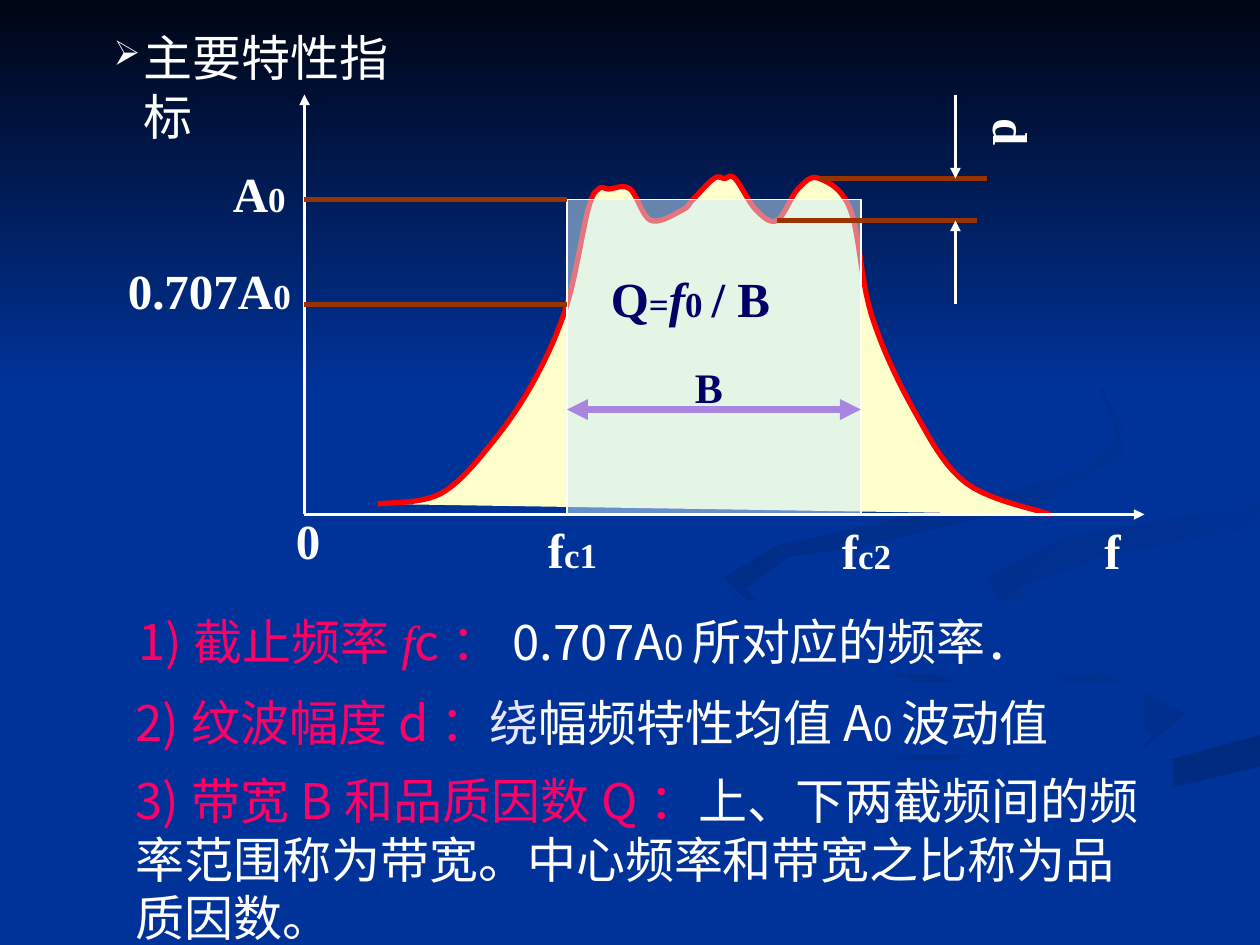
from lxml.etree import SubElement
from pptx import Presentation
from pptx.dml.color import RGBColor
from pptx.enum.shapes import MSO_CONNECTOR, MSO_SHAPE
from pptx.enum.text import MSO_ANCHOR, MSO_AUTO_SIZE, PP_ALIGN
from pptx.oxml.ns import qn
from pptx.util import Pt

PX = 9525      # EMU in one px, 96 px to the inch
GRID = 8 * PX  # one step of the drawing grid
WHITE = RGBColor(0xFF, 0xFF, 0xFF)
BLUE = RGBColor(0x00, 0x33, 0x99)
NIGHT = RGBColor(0x00, 0x05, 0x14)
NAVY = RGBColor(0x00, 0x00, 0x66)
PINK = RGBColor(0xFF, 0x00, 0x66)
LAVENDER = RGBColor(0xE5, 0xE5, 0xFF)
RED = RGBColor(0xFF, 0x00, 0x00)
CREAM = RGBColor(0xFF, 0xFF, 0xCC)
ICE = RGBColor(0xCC, 0xEC, 0xFF)
BROWN = RGBColor(0x99, 0x33, 0x00)
PURPLE = RGBColor(0xA8, 0x86, 0xE0)
SHADE = RGBColor(0x00, 0x2E, 0x8B)
DEEP_SHADE = RGBColor(0x00, 0x2A, 0x7D)
SERIF = "Times New Roman"
SANS = "Noto Sans CJK SC"


def add_runs(paragraph, runs, font_name, bold=False):
    """Each run is text, size, colour; a fourth item marks italic Times."""
    for text, size, color, *italic in runs:
        run = paragraph.add_run()
        run.text = text
        run.font.size = Pt(size)
        run.font.bold = bold
        run.font.italic = bool(italic)
        run.font.color.rgb = color
        run.font.name = SERIF if italic else font_name
        SubElement(run.font._element, qn("a:ea")).set("typeface", SANS)


def add_line(x1, y1, x2, y2, color, width, *arrow_ends):
    line = slide.shapes.add_connector(
        MSO_CONNECTOR.STRAIGHT, x1 * GRID, y1 * GRID, x2 * GRID, y2 * GRID)
    line.line.color.rgb = color
    line.line.width = Pt(width)
    properties = line._element.spPr
    for end in arrow_ends:
        SubElement(properties.find(qn("a:ln")), qn(end)).set("type", "triangle")
    SubElement(properties, qn("a:effectLst"))


prs = Presentation()
prs.slide_width, prs.slide_height = 960 * PX, 720 * PX
slide = prs.slides.add_slide(prs.slide_layouts[5])
slide.background.fill.solid()
slide.background.fill.fore_color.rgb = BLUE

# Background swirls: first colour, last colour, clockwise angle, grid outline
swirls = [
    (BLUE, SHADE, 0, [(94, 66), (71, 58), (69, 55), (71, 59), (93, 67), (93, 70),
                      (55, 81), (36, 90), (43, 90), (60, 82), (95, 71)]),
    (BLUE, SHADE, 45, [(113, 68), (107, 64), (93, 60), (87, 56), (92, 61), (104, 66),
                       (110, 70), (107, 73), (112, 71)]),
    (DEEP_SHADE, BLUE, 90, [(60, 90), (68, 90), (80, 84), (103, 77), (120, 73),
                            (120, 70), (108, 73), (83, 80)]),
    (BLUE, BLUE, 0, [(87, 56), (91, 60), (105, 64), (113, 68), (108, 72), (69, 84),
                     (57, 90), (62, 90), (83, 80), (120, 70), (120, 64), (104, 61),
                     (94, 56), (99, 52), (120, 48), (120, 46), (102, 49), (89, 53)]),
    (SHADE, BLUE, 45, [(94, 55), (95, 57), (99, 60), (97, 56), (105, 53), (120, 50),
                       (120, 48), (102, 51)]),
    (DEEP_SHADE, BLUE, 45, [(82, 52), (99, 48), (107, 43), (105, 37), (95, 28), (103, 34),
                            (107, 41), (103, 45), (92, 48), (74, 52), (69, 55), (74, 60),
                            (71, 56), (75, 53)]),
    (NIGHT, BLUE, 90, [(0, 0), (120, 0), (120, 37), (0, 37)]),
]
for first, last, angle, outline in swirls:
    builder = slide.shapes.build_freeform(*outline[0], scale=GRID)
    builder.add_line_segments(outline[1:], close=True)
    swirl = builder.convert_to_shape()
    swirl.shadow.inherit = False
    swirl.line.fill.background()
    swirl.fill.gradient()
    swirl.fill.gradient_angle = -angle % 360
    for stop, color, position in zip(swirl.fill.gradient_stops, (first, last), (0, 1)):
        stop.color.rgb = color
        stop.position = position

# Response curve: a Catmull-Rom spline through grid knots
knots = [(36, 48), (42, 47), (47, 42), (51, 36), (54, 29), (56, 20), (57, 18), (58, 18),
         (60, 18), (62, 21), (65, 20), (66, 19), (68, 17), (69, 17), (70, 17), (72, 20),
         (74, 21), (76, 18), (78, 17), (81, 20), (83, 30), (87, 39), (92, 46), (100, 49)]
STEPS = 10
guides = [knots[0], *knots, knots[-1]]
curve = [[GRID * value for value in knots[0]]]
for before, start, end, after in zip(guides, guides[1:], guides[2:], guides[3:]):
    for step in range(1, STEPS + 1):
        t = step / STEPS
        curve.append([
            GRID * (b + (c - a) * t / 2 + (2 * a - 5 * b + 4 * c - d) * t**2 / 2
                    + (3 * b - a - 3 * c + d) * t**3 / 2)
            for a, b, c, d in zip(before, start, end, after)])
builder = slide.shapes.build_freeform(*curve[0], scale=1.0)
builder.add_line_segments(curve[1:], close=False)
response = builder.convert_to_shape()
response.shadow.inherit = False
response.fill.solid()
response.fill.fore_color.rgb = CREAM
response.line.color.rgb = RED
response.line.width = Pt(3)

passband = slide.shapes.add_shape(
    MSO_SHAPE.RECTANGLE, 54 * GRID, 19 * GRID, 28 * GRID, 30 * GRID)
passband.shadow.inherit = False
passband.fill.solid()
passband.fill.fore_color.rgb = ICE
tint = passband._element.spPr.find(qn("a:solidFill")).find(qn("a:srgbClr"))
SubElement(tint, qn("a:alpha")).set("val", "50000")
passband.line.color.rgb = WHITE
passband.line.width = Pt(0.75)

add_line(29, 49, 29, 9, WHITE, 2, "a:tailEnd")
add_line(29, 49, 109, 49, WHITE, 2, "a:tailEnd")
for left, right, level in [(29, 54, 19), (29, 54, 29), (78, 94, 17), (74, 93, 21)]:
    add_line(left, level, right, level, BROWN, 3)
add_line(91, 9, 91, 17, WHITE, 2, "a:tailEnd")
add_line(91, 21, 91, 29, WHITE, 2, "a:headEnd")
add_line(54, 39, 82, 39, PURPLE, 4, "a:headEnd", "a:tailEnd")

# Diagram labels
labels = [
    (216, 384, 48, 55, [("0", 28, WHITE)]),
    (832, 392, 48, 55, [("f", 28, WHITE)]),
    (408, 391, 64, 55, [("f", 28, WHITE), ("c1", 20, WHITE)]),
    (632, 392, 64, 55, [("f", 28, WHITE), ("c2", 20, WHITE)]),
    (168, 120, 64, 55, [("A", 28, WHITE), ("0", 20, WHITE)]),
    (88, 194, 152, 55, [("0.707A", 28, WHITE), ("0", 20, WHITE)]),
    (520, 271, 40, 48, [("B", 24, NAVY)]),
    (456, 200, 168, 55, [("Q", 28, NAVY), ("=", 20, NAVY), ("f", 28, NAVY, True),
                         ("0 ", 20, NAVY), ("/ B", 28, NAVY)]),
    (736, 80, 63, 32, [("d", 28, WHITE)]),
]
for x, y, width, height, runs in labels:
    label = slide.shapes.add_textbox(x * PX, y * PX, width * PX, height * PX)
    label.text_frame.word_wrap = True
    add_runs(label.text_frame.paragraphs[0], runs, SERIF, bold=True)
ripple_frame = label.text_frame
ripple_frame._txBody.bodyPr.set("vert", "eaVert")
ripple_frame.margin_left = ripple_frame.margin_right = 5 * PX
ripple_frame.margin_top = ripple_frame.margin_bottom = 10 * PX

# Definitions
definitions = [
    (96, 458, 744, 55, [("1)截止频率", 28, PINK), ("f", 28, PINK, True), ("c：", 28, PINK),
                        ("0.707A", 28, WHITE), ("0", 20, WHITE), ("所对应的频率．", 28, WHITE)]),
    (94, 520, 778, 55, [("2)纹波幅度d：", 28, PINK), ("绕", 28, LAVENDER),
                        ("幅频特性均值A", 28, WHITE), ("0", 20, WHITE), ("波动值", 28, WHITE)]),
    (94, 579, 800, 144, [("3)带宽B和品质因数Q：", 28, PINK),
                         ("上、下两截频间的频率范围称为带宽。中心频率和带宽之比称为品质因数。", 28, WHITE)]),
]
for x, y, width, height, runs in definitions:
    definition = slide.shapes.add_textbox(x * PX, y * PX, width * PX, height * PX)
    definition.fill.solid()
    definition.fill.fore_color.rgb = BLUE
    definition.text_frame.word_wrap = True
    definition.text_frame.margin_top = 8 * PX
    definition.text_frame.paragraphs[0].line_spacing = Pt(33.6)
    add_runs(definition.text_frame.paragraphs[0], runs, SANS)

# Title, brought in front of the background
title = slide.shapes.title
slide.shapes._spTree.append(title._element)
title.left, title.top, title.width, title.height = 77 * PX, 13 * PX, 263 * PX, 55 * PX
title.text_frame.word_wrap = True
title.text_frame.auto_size = MSO_AUTO_SIZE.NONE
title.text_frame.vertical_anchor = MSO_ANCHOR.TOP
title.text_frame.margin_top = 8 * PX
heading = title.text_frame.paragraphs[0]
heading.alignment = PP_ALIGN.LEFT
heading.line_spacing = Pt(33.6)
bullet = heading._p.get_or_add_pPr()
bullet.set("marL", str(23 * PX))
bullet.set("indent", str(-23 * PX))
SubElement(SubElement(bullet, qn("a:buClr")), qn("a:srgbClr")).set("val", str(WHITE))
SubElement(bullet, qn("a:buSzPct")).set("val", "70000")
SubElement(bullet, qn("a:buChar")).set("char", "➢")
add_runs(heading, [("主要特性指标", 28, WHITE)], SERIF)

prs.save("out.pptx")
